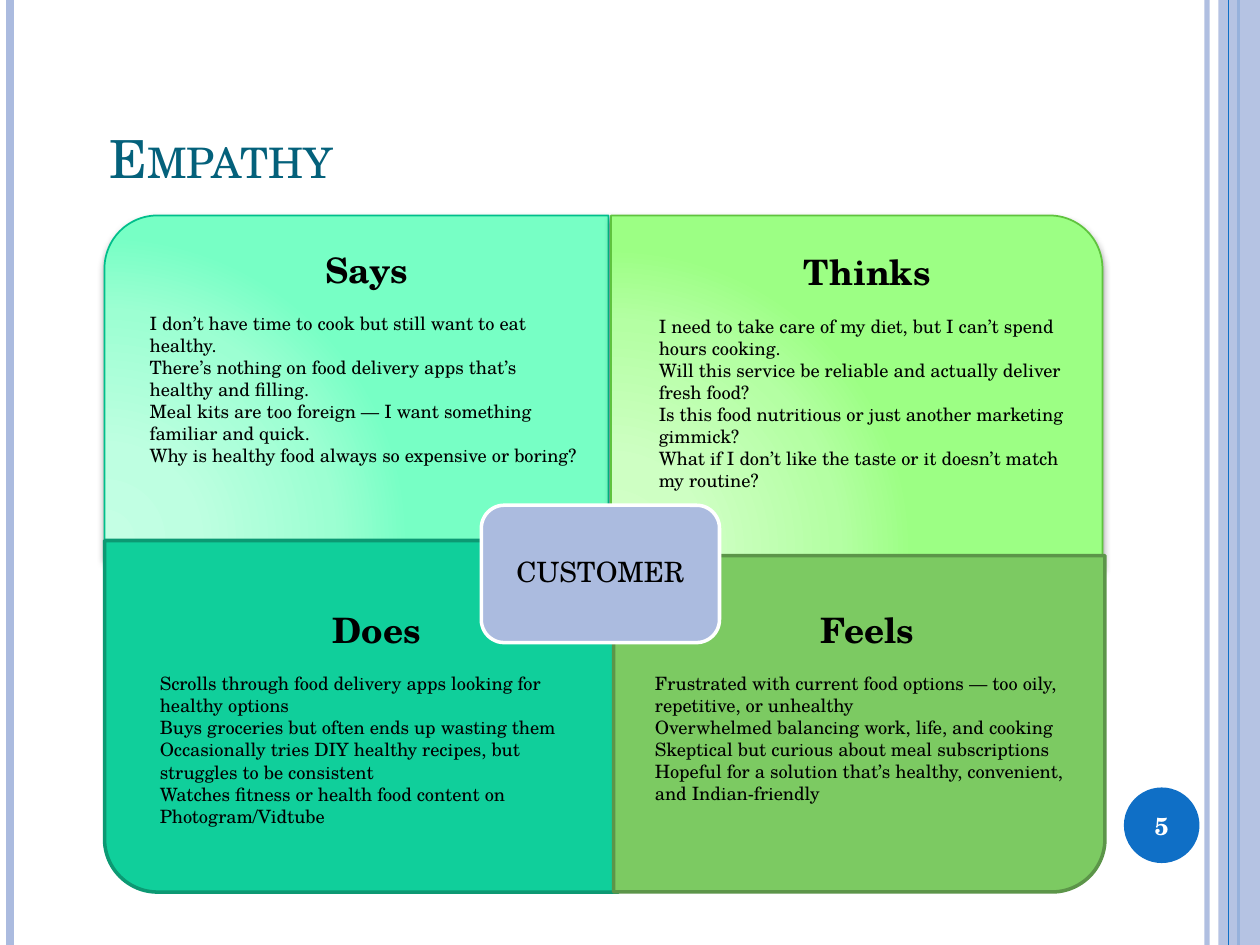
"""Build a customer empathy map slide with four quadrants."""
from dataclasses import dataclass

import lxml.etree
import pptx
import pptx.dml.color
import pptx.enum.shapes
import pptx.enum.text
import pptx.oxml
import pptx.oxml.ns
import pptx.util

Inches = pptx.util.Inches
Pt = pptx.util.Pt
RGBColor = pptx.dml.color.RGBColor
ShapeType = pptx.enum.shapes.MSO_SHAPE
Align = pptx.enum.text.PP_ALIGN
Anchor = pptx.enum.text.MSO_ANCHOR
qn = pptx.oxml.ns.qn

FONT = "TeX Gyre Schola"
BLACK = RGBColor(0x00, 0x00, 0x00)
WHITE = RGBColor(0xFF, 0xFF, 0xFF)
BLUE = RGBColor(0x0F, 0x6F, 0xC6)
LAVENDER = RGBColor(0xAB, 0xBB, 0xDF)
TEAL = RGBColor(0x04, 0x61, 0x7B)
MINT_EDGE = RGBColor(0x00, 0xBF, 0x8B)
LIME_EDGE = RGBColor(0x5F, 0xC3, 0x3E)
EMERALD = RGBColor(0x10, 0xCF, 0x9B)
EMERALD_EDGE = RGBColor(0x0C, 0x99, 0x73)
LEAF = RGBColor(0x7C, 0xCA, 0x62)
LEAF_EDGE = RGBColor(0x5C, 0x95, 0x49)
MINT_GLOW = [RGBColor.from_string(c) for c in ("C4FFE4", "BEFFE1", "9CFFD2", "77FFC5")]
LIME_GLOW = [RGBColor.from_string(c) for c in ("D2FFC8", "CEFFC3", "B4FFA3", "9CFF84")]
GLOW_STOPS = (0, 30, 75, 100)
CORNER_RADIUS = 0.42


@dataclass
class Box:
    left: float
    top: float
    width: float
    height: float

    def lengths(self):
        return [Inches(n) for n in (self.left, self.top, self.width, self.height)]


@dataclass
class Rail:
    x: float
    color: RGBColor
    weight: float
    opacity: int = 100


@dataclass
class Quadrant:
    heading: str
    remarks: list[str]
    panel: Box
    text: Box
    fill: list[RGBColor]
    edge: RGBColor
    flips: tuple[str, ...]


QUADRANTS = [
    Quadrant("Says", [
        "I don’t have time to cook but still want to eat healthy.",
        "There’s nothing on food delivery apps that’s healthy and filling.",
        "Meal kits are too foreign — I want something familiar and quick.",
        "Why is healthy food always so expensive or boring?",
    ], Box(0.83, 1.71, 4, 2.71), Box(1.09, 1.92, 3.64, 1.85), MINT_GLOW, MINT_EDGE, ("flipH",)),
    Quadrant("Thinks", [
        "I need to take care of my diet, but I can’t spend hours cooking.",
        "Will this service be reliable and actually deliver fresh food?",
        "Is this food nutritious or just another marketing gimmick?",
        "What if I don’t like the taste or it doesn’t match my routine?",
    ], Box(4.85, 1.71, 3.9, 2.79), Box(5.13, 1.94, 3.51, 2.03), LIME_GLOW, LIME_EDGE, ()),
    Quadrant("Does", [
        "Scrolls through food delivery apps looking for healthy options",
        "Buys groceries but often ends up wasting them",
        "Occasionally tries DIY healthy recipes, but struggles to be consistent",
        "Watches fitness or health food content on Photogram/Vidtube",
    ], Box(0.83, 4.29, 4.08, 2.79), Box(1.17, 4.78, 3.64, 1.85), [EMERALD], EMERALD_EDGE, ("flipH", "flipV")),
    Quadrant("Feels", [
        "Frustrated with current food options — too oily, repetitive, or unhealthy",
        "Overwhelmed balancing work, life, and cooking",
        "Skeptical but curious about meal subscriptions",
        "Hopeful for a solution that’s healthy, convenient, and Indian-friendly",
    ], Box(4.87, 4.41, 3.9, 2.67), Box(5.1, 4.78, 3.57, 1.67), [LEAF], LEAF_EDGE, ("flipV",)),
]


def set_opacity(element, percent: int) -> None:
    color = next(element.iter(qn("a:srgbClr")))
    lxml.etree.SubElement(color, qn("a:alpha")).set("val", str(percent * 1000))


def add_rail(slide, rail: Rail) -> None:
    line = slide.shapes.add_connector(
        pptx.enum.shapes.MSO_CONNECTOR.STRAIGHT, Inches(rail.x), 0, Inches(rail.x), Inches(7.5))
    line.line.color.rgb = rail.color
    line.line.width = Pt(rail.weight)
    properties = line._element.spPr
    if rail.opacity < 100:
        set_opacity(properties, rail.opacity)
    lxml.etree.SubElement(properties, qn("a:effectLst"))


def add_filled(slide, kind, box: Box, fill: RGBColor, edge: RGBColor | None = None, weight: float = 0):
    shape = slide.shapes.add_shape(kind, *box.lengths())
    shape.shadow.inherit = False
    shape.fill.solid()
    shape.fill.fore_color.rgb = fill
    if edge is None:
        shape.line.fill.background()
    else:
        shape.line.color.rgb = edge
        shape.line.width = Pt(weight)
    return shape


def style(paragraph, size: float, color: RGBColor, bold: bool = False) -> None:
    for run in paragraph.runs:
        run.font.name = FONT
        run.font.size = Pt(size)
        run.font.bold = bold
        run.font.color.rgb = color


def set_label(shape, text: str, size: float, color: RGBColor, bold: bool = False):
    frame = shape.text_frame
    frame.text = text
    frame.word_wrap = True
    frame.vertical_anchor = Anchor.MIDDLE
    frame.margin_left = frame.margin_right = 0
    paragraph = frame.paragraphs[0]
    paragraph.alignment = Align.CENTER
    style(paragraph, size, color, bold)
    return paragraph


def add_glow(shape, colors: list[RGBColor]) -> None:
    stops = "".join(
        f'<a:gs pos="{stop * 1000}"><a:srgbClr val="{color}"/></a:gs>'
        for stop, color in zip(GLOW_STOPS, colors))
    namespace = pptx.oxml.ns.nsdecls("a")
    gradient = pptx.oxml.parse_xml(
        f'<a:gradFill {namespace} rotWithShape="0"><a:gsLst>{stops}</a:gsLst><a:path path="circle">'
        '<a:fillToRect l="5000" t="100000" r="120000" b="10000"/></a:path></a:gradFill>')
    shadow = pptx.oxml.parse_xml(
        f'<a:outerShdw {namespace} blurRad="{Pt(4)}" dist="{Pt(2)}" dir="5400000" rotWithShape="0">'
        '<a:srgbClr val="000000"><a:alpha val="40000"/></a:srgbClr></a:outerShdw>')
    properties = shape._element.spPr
    properties.replace(properties.find(qn("a:solidFill")), gradient)
    properties.find(qn("a:effectLst")).append(shadow)


def add_panel(slide, quadrant: Quadrant) -> None:
    glowing = len(quadrant.fill) > 1
    box = quadrant.panel
    shape = add_filled(slide, ShapeType.ROUND_1_RECTANGLE, box, quadrant.fill[0],
                       quadrant.edge, 1 if glowing else 2)
    shape.adjustments[0] = CORNER_RADIUS / min(box.width, box.height)
    for flip in quadrant.flips:
        shape._element.spPr.xfrm.set(flip, "1")
    if glowing:
        add_glow(shape, quadrant.fill)


def add_remarks(slide, quadrant: Quadrant) -> None:
    frame = slide.shapes.add_textbox(*quadrant.text.lengths()).text_frame
    frame.word_wrap = True
    frame.auto_size = pptx.enum.text.MSO_AUTO_SIZE.SHAPE_TO_FIT_TEXT
    frame.text = "\n".join([quadrant.heading, *quadrant.remarks])
    heading, *remarks = frame.paragraphs
    heading.alignment = Align.CENTER
    heading.space_after = Pt(12.6)
    style(heading, 20, BLACK, True)
    for paragraph in remarks:
        style(paragraph, 10.5, BLACK)


def add_title(slide, text: str) -> None:
    frame = slide.shapes.add_textbox(*Box(0.77, 0.3, 7.9, 1.25).lengths()).text_frame
    frame.word_wrap = True
    frame.vertical_anchor = Anchor.BOTTOM
    frame.text = text
    style(frame.paragraphs[0], 30, TEAL)
    frame.paragraphs[0].runs[0].font._element.set("cap", "small")


def main() -> None:
    presentation = pptx.Presentation()
    presentation.slide_width, presentation.slide_height = Inches(10), Inches(7.5)
    slide = presentation.slides.add_slide(presentation.slide_layouts[6])
    for rail in (Rail(9.58, LAVENDER, 3, 93), Rail(0.08, LAVENDER, 4.5), Rail(9.83, BLUE, 1.5)):
        add_rail(slide, rail)
    band = add_filled(slide, ShapeType.RECTANGLE, Box(9.67, 0, 0.33, 7.5), LAVENDER)
    set_opacity(band._element.spPr, 87)
    add_rail(slide, Rail(9.75, BLUE, 0.75))
    badge = add_filled(slide, ShapeType.OVAL, Box(8.92, 6.25, 0.6, 0.6), BLUE)
    set_label(badge, "5", 14, WHITE, True)
    add_title(slide, "Empathy")
    for quadrant in QUADRANTS:
        add_panel(slide, quadrant)
    customer = add_filled(slide, ShapeType.ROUNDED_RECTANGLE, Box(3.82, 4.01, 1.89, 1.09), LAVENDER, WHITE, 2)
    set_label(customer, "CUSTOMER", 16, BLACK).line_spacing = 0.9
    for quadrant in QUADRANTS:
        add_remarks(slide, quadrant)
    presentation.save("out.pptx")


if __name__ == "__main__":
    main()
